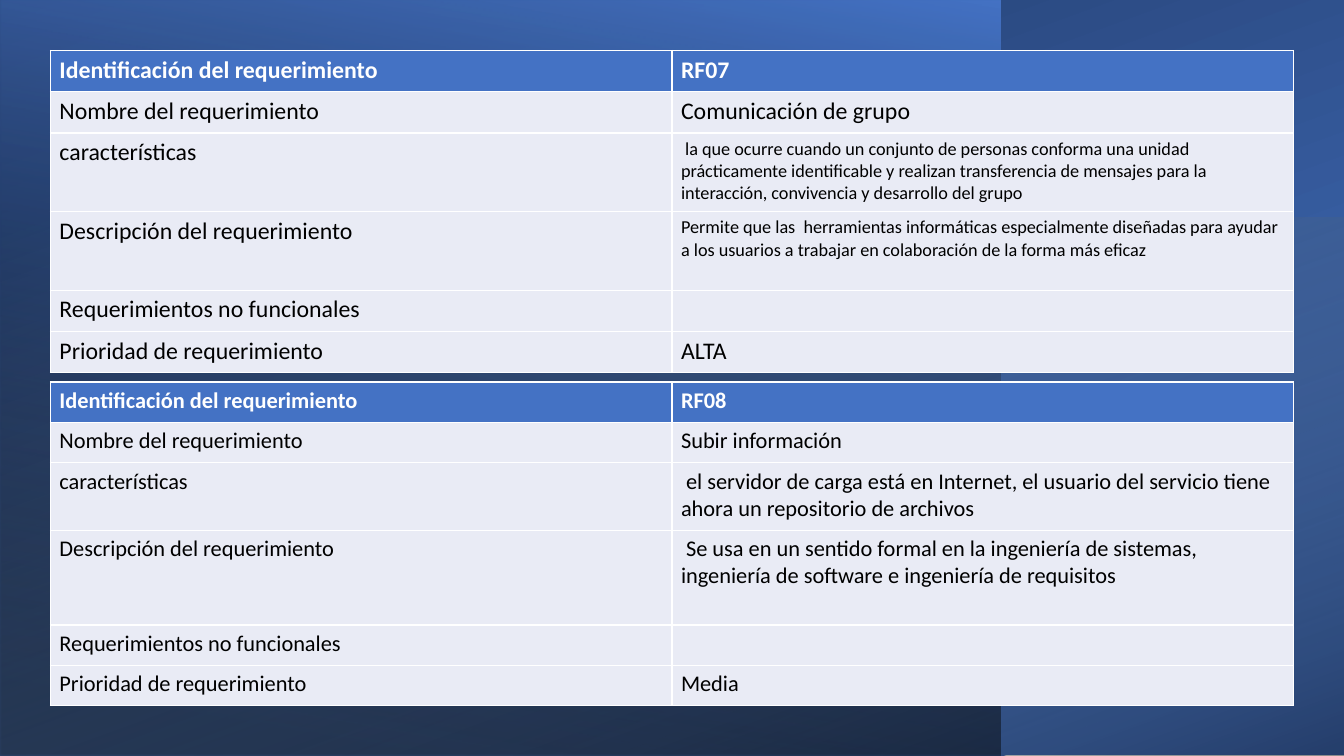
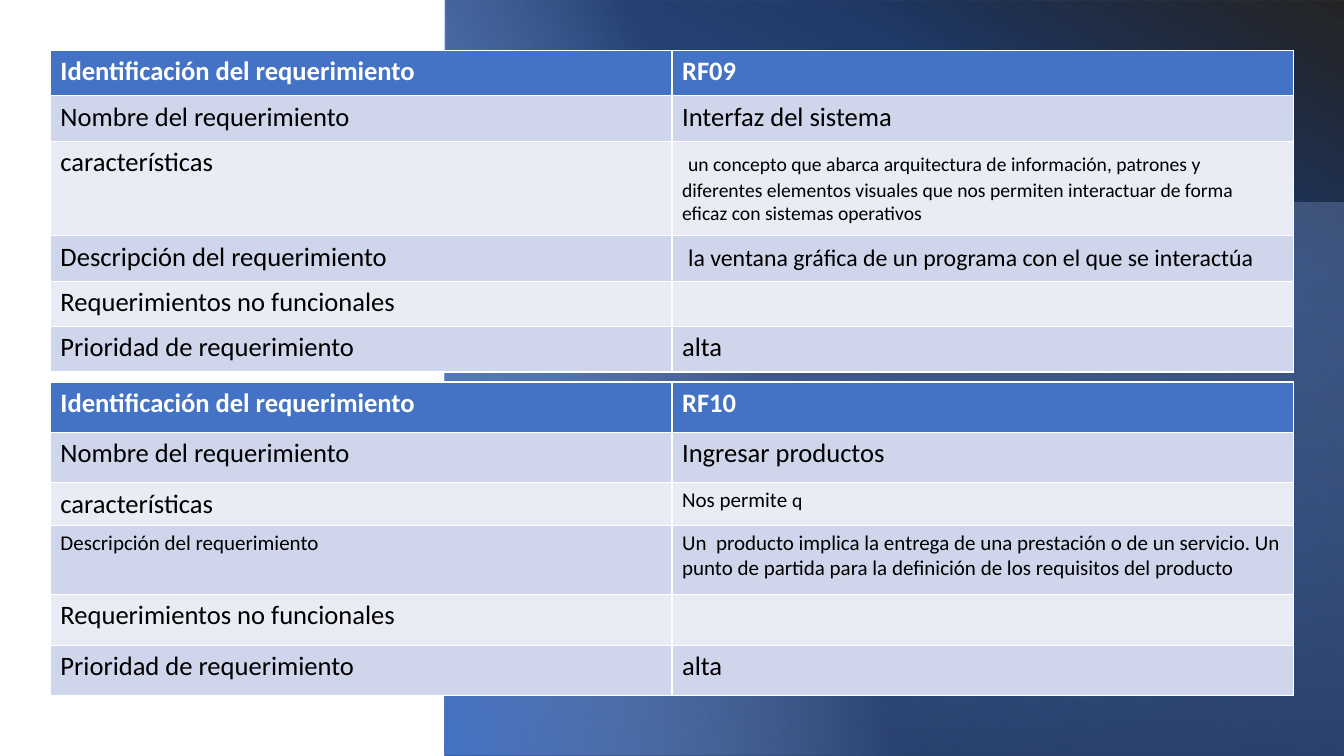
"""Build two slides of requirement tables over layered gradient backgrounds."""
from lxml.etree import SubElement
from pptx import Presentation
from pptx.dml.color import RGBColor
from pptx.enum.shapes import MSO_SHAPE
from pptx.oxml.ns import qn
from pptx.util import Inches, Pt

COLORS = {
    "blue": "4472C4", "navy": "203864", "black": "000000", "white": "FFFFFF",
    "sky": "9DC3E6", "steel": "8FAADC", "pale": "E9EBF5", "band": "CFD5EA",
}
FONT = "Calibri"
LABELS = [
    "Identificación del requerimiento", "Nombre del requerimiento",
    "características", "Descripción del requerimiento",
    "Requerimientos no funcionales", "Prioridad de requerimiento",
]


class Deck:
    def __init__(self):
        self.prs = Presentation()
        self.prs.slide_width = Inches(13.33)
        self.prs.slide_height = Inches(7.5)
        self.slide = None

    def new_slide(self):
        self.slide = self.prs.slides.add_slide(self.prs.slide_layouts[6])

    def gradient_panel(self, left, top, width, height, stops, angle, rotation=0, flip=True):
        panel = self.slide.shapes.add_shape(
            MSO_SHAPE.RECTANGLE, Inches(left), Inches(top), Inches(width), Inches(height))
        panel.shadow.inherit = False
        panel.line.fill.background()
        panel.rotation = rotation
        properties = panel.element.spPr
        if flip:
            properties.xfrm.set("flipH", "1")
        panel.fill.gradient()
        panel.fill.gradient_angle = 360 - angle
        stop_list = properties.find(qn("a:gradFill")).find(qn("a:gsLst"))
        for old_stop in list(stop_list):
            stop_list.remove(old_stop)
        for position, color, opacity in stops:
            stop = SubElement(stop_list, qn("a:gs"), pos=str(position * 1000))
            tint = SubElement(stop, qn("a:srgbClr"), val=COLORS[color])
            SubElement(tint, qn("a:alpha"), val=str(opacity * 1000))

    def fill_cell(self, cell, content, size, fill, header, inset):
        cell.fill.solid()
        cell.fill.fore_color.rgb = RGBColor.from_string(COLORS[fill])
        cell.margin_left = cell.margin_right = Inches(inset)
        cell.margin_top = cell.margin_bottom = Inches(0.05)
        paragraph = cell.text_frame.paragraphs[0]
        font = paragraph.font
        font.name, font.size, font.bold = FONT, Pt(size), header
        font.color.rgb = RGBColor.from_string(COLORS["white" if header else "black"])
        pieces = [(content, size)] if isinstance(content, str) else content
        for text, text_size in pieces:
            if text:
                run = paragraph.add_run()
                run.text = text
                if text_size != size:
                    run.font.size = Pt(text_size)

    def requirement(self, top, heights, values, size, bands, inset, label_sizes=None):
        table = self.slide.shapes.add_table(
            len(LABELS), 2, Inches(0.5), Inches(top), Inches(12.33), Inches(sum(heights))).table
        table.horz_banding = len(set(bands)) > 1
        for column in table.columns:
            column.width = Inches(12.33 / 2)
        for index, (label, value) in enumerate(zip(LABELS, values)):
            table.rows[index].height = Inches(heights[index])
            header = index == 0
            fill = "blue" if header else bands[(index - 1) % len(bands)]
            label_size = (label_sizes or {}).get(index, size)
            self.fill_cell(table.cell(index, 0), label, label_size, fill, header, inset)
            self.fill_cell(table.cell(index, 1), value, size, fill, header, inset)


def communication_slide(deck):
    deck.new_slide()
    deck.gradient_panel(2.92, -2.92, 7.5, 13.33,
                        [(8, "blue", 100), (100, "navy", 100)], 200, 270)
    deck.gradient_panel(0, 0, 9.92, 7.5,
                        [(8, "black", 52), (100, "blue", 100)], 80, 180)
    deck.gradient_panel(3.99, -1.84, 5.35, 13.34,
                        [(0, "sky", 0), (100, "black", 46)], 20, 270)
    style = {"bands": ["pale"], "inset": 0.09}
    deck.requirement(0.5, [0.41, 0.41, 0.78, 0.78, 0.41, 0.41], [
        "RF07",
        "Comunicación de grupo",
        [(" la que ocurre cuando un conjunto de personas conforma una unidad prácticamente "
          "identificable y realizan transferencia de mensajes para la interacción, "
          "convivencia y desarrollo del grupo", 13)],
        [("Permite que las  herramientas informáticas especialmente diseñadas para ayudar a "
          "los usuarios a trabajar en colaboración de la forma más eficaz", 13)],
        "",
        "ALTA",
    ], 17, **style)
    deck.requirement(3.79, [0.4, 0.4, 0.67, 0.94, 0.4, 0.4], [
        "RF08",
        "Subir información",
        " el servidor de carga está en Internet, el usuario del servicio tiene ahora un "
        "repositorio de archivos",
        " Se usa en un sentido formal en la ingeniería de sistemas, ingeniería de software "
        "e ingeniería de requisitos",
        "",
        "Media",
    ], 16, **style)


def interface_slide(deck):
    deck.new_slide()
    deck.gradient_panel(4.42, 0, 8.92, 7.5,
                        [(2, "blue", 100), (78, "navy", 100), (100, "black", 85)],
                        300, flip=False)
    deck.gradient_panel(4.41, 2.01, 8.92, 5.49,
                        [(0, "steel", 30), (100, "black", 44)], 80)
    deck.gradient_panel(4.44, -0.04, 7.5, 7.57,
                        [(56, "steel", 0), (100, "blue", 100)], 110, 90)
    style = {"size": 19, "bands": ["band", "pale"], "inset": 0.1}
    deck.requirement(0.5, [0.45, 0.45, 0.94, 0.45, 0.45, 0.45], [
        "RF09",
        "Interfaz del sistema",
        [(" ", 19),
         ("un concepto que abarca arquitectura de información, patrones y diferentes elementos "
          "visuales que nos permiten interactuar de forma eficaz con sistemas operativos", 14)],
        [(" ", 19), ("la ventana gráfica de un programa con el que se interactúa", 17)],
        "",
        "alta",
    ], **style)
    deck.requirement(3.79, [0.5, 0.5, 0.41, 0.69, 0.5, 0.5], [
        "RF10",
        "Ingresar productos",
        [("Nos permite ", 15), ("q", 14)],
        [("Un  producto implica la entrega de una prestación o de un servicio. "
          "Un punto de partida para la definición de los requisitos del producto", 15)],
        "",
        "alta",
    ], label_sizes={3: 15}, **style)


def main():
    deck = Deck()
    communication_slide(deck)
    interface_slide(deck)
    deck.prs.save("out.pptx")


if __name__ == "__main__":
    main()
